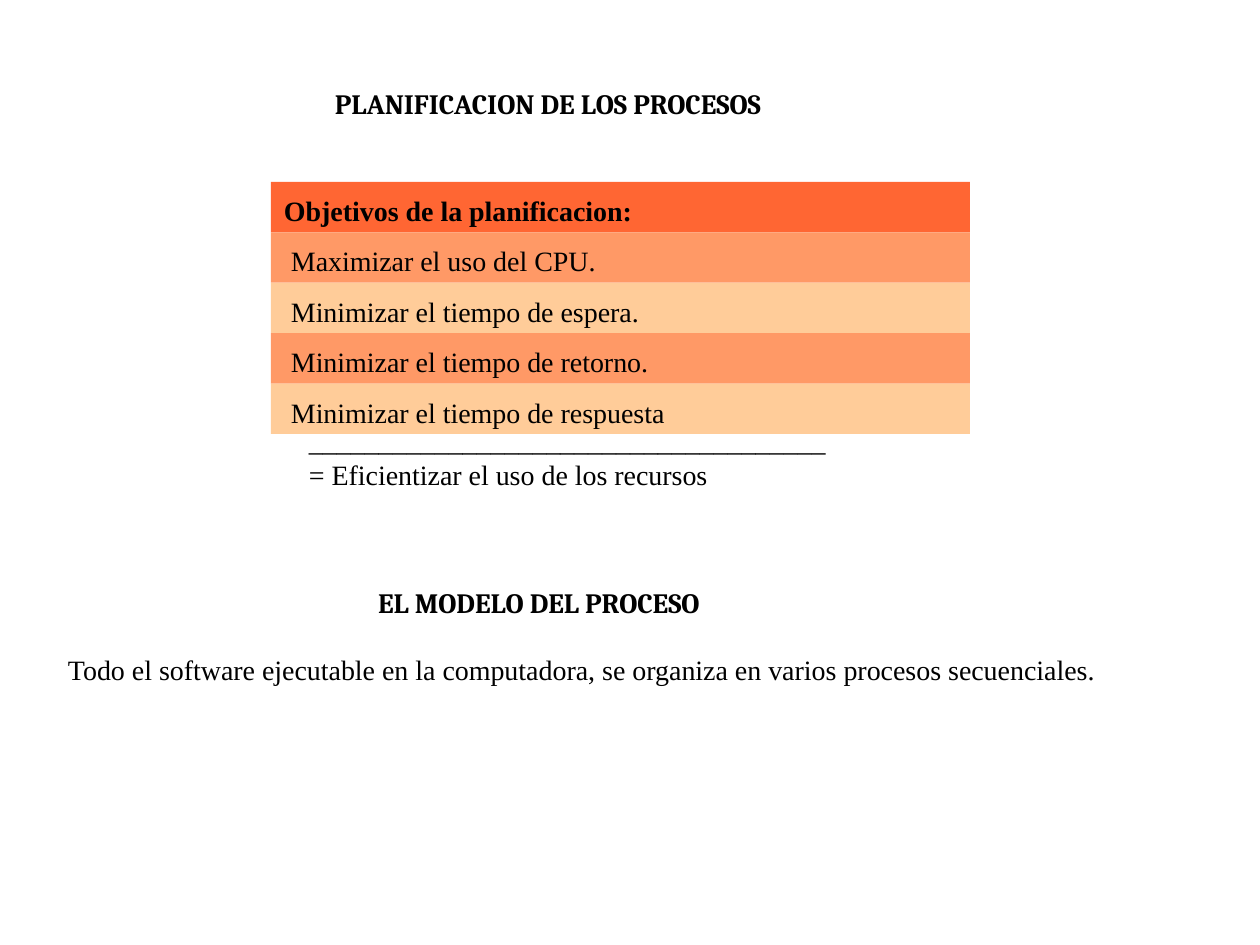
from pptx import Presentation
from pptx.dml.color import RGBColor
from pptx.enum.shapes import MSO_SHAPE
from pptx.enum.text import MSO_ANCHOR, PP_ALIGN
from pptx.util import Pt

PX = 914400 / 126  # EMU per px
COLORS = {"text": "000000", "header": "FF6633", "odd": "FF9966", "even": "FFCC99"}
HEADING, BODY = "Cambria", "Times New Roman"

# text, box (left, top, width, height), font, bold
TEXTS = [
    ("EL MODELO DEL PROCESO", (365, 580, 496, 83), HEADING, True),
    ("Todo el software ejecutable en la computadora, se organiza en varios "
     "procesos secuenciales.", (55, 646, 1172, 79), BODY, False),
    ("PLANIFICACION DE LOS PROCESOS", (322, 81, 622, 45), HEADING, True),
]
GOALS = [
    "Objetivos de la planificacion:",
    " Maximizar el uso del CPU.",
    " Minimizar el tiempo de espera.",
    " Minimizar el tiempo de retorno.",
    " Minimizar el tiempo de respuesta",
]
GOALS_BOX = (271, 182, 699, 252)
RESULT = ("_" * 37 + "\n= Eficientizar el uso de los recursos", (296, 418, 590, 79), BODY, False)


def emu(*lengths):
    return [round(n * PX) for n in lengths]


def write(sp, text, font, bold, inset_top=6, spacing=None):
    tf = sp.text_frame
    tf.text = text
    tf.word_wrap = True
    tf.vertical_anchor = MSO_ANCHOR.TOP
    tf.margin_left, tf.margin_top, tf.margin_right, tf.margin_bottom = emu(13, inset_top, 13, 6)
    for p in tf.paragraphs:
        p.alignment = PP_ALIGN.LEFT
        p.line_spacing = spacing
        for r in p.runs:
            r.font.name, r.font.size, r.font.bold = font, Pt(16), bold
            r.font.color.rgb = RGBColor.from_string(COLORS["text"])


def add_text(shapes, text, box, font, bold):
    write(shapes.add_textbox(*emu(*box)), text, font, bold)


def add_goals(shapes):
    left, top, width, height = GOALS_BOX
    row_height = height / len(GOALS)
    for i, goal in enumerate(GOALS):
        box = emu(left, top + i * row_height, width, row_height)
        sp = shapes.add_shape(MSO_SHAPE.RECTANGLE, *box)
        sp.shadow.inherit = False
        color = "header" if i == 0 else "odd" if i % 2 else "even"
        sp.fill.solid()
        sp.fill.fore_color.rgb = RGBColor.from_string(COLORS[color])
        sp.line.fill.background()
        write(sp, goal, BODY, i == 0, inset_top=18, spacing=0.8)


prs = Presentation()
prs.slide_width, prs.slide_height = emu(1260, 945)
slide = prs.slides.add_slide(prs.slide_layouts[6])
for item in TEXTS:
    add_text(slide.shapes, *item)
group = slide.shapes.add_group_shape()
add_goals(group.shapes)
add_text(group.shapes, *RESULT)
prs.save("out.pptx")
